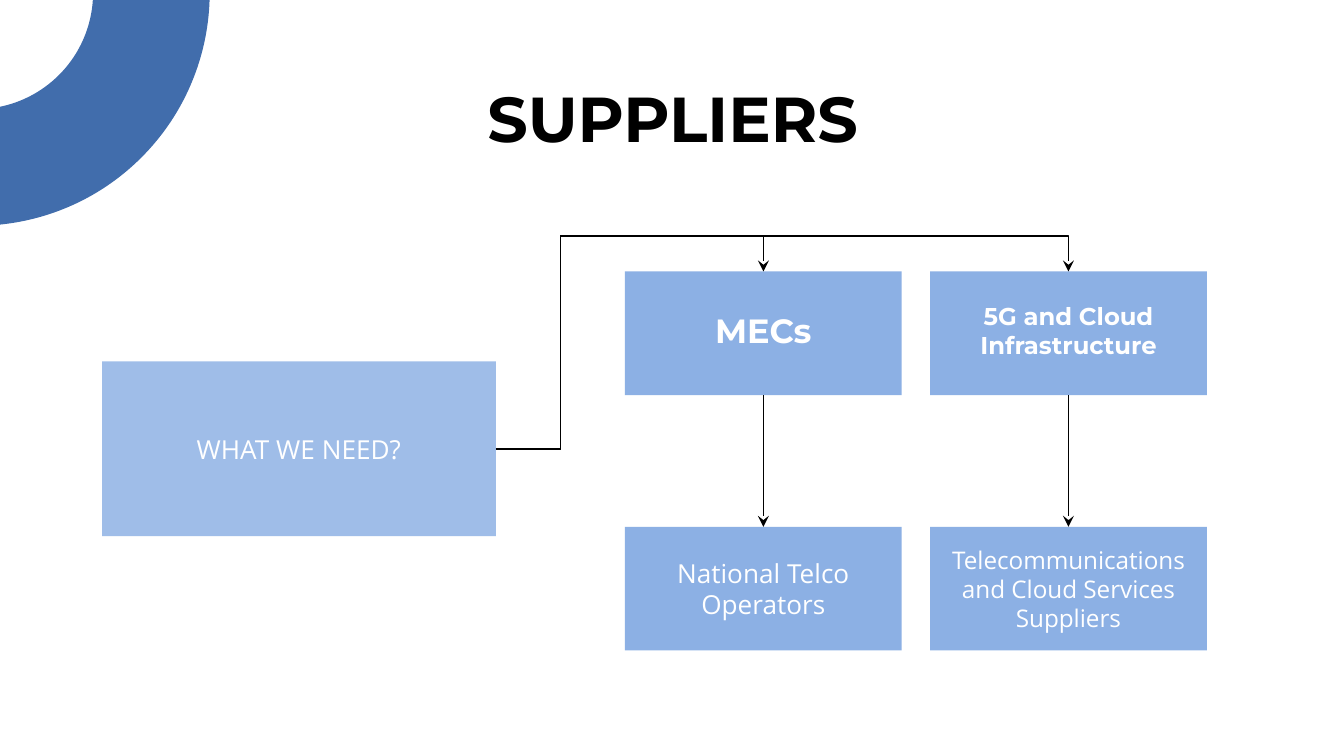
from lxml import etree
from pptx import Presentation
from pptx.dml.color import RGBColor
from pptx.enum.shapes import MSO_CONNECTOR as Connector, MSO_SHAPE as Shape
from pptx.enum.text import MSO_ANCHOR as Anchor, PP_ALIGN as Align
from pptx.oxml.ns import qn
from pptx.util import Inches, Pt

ARC_BLUE = RGBColor(0x41, 0x6D, 0xAC)
BOX_BLUE = RGBColor(0x8C, 0xB0, 0xE4)
WHITE = RGBColor(0xFF, 0xFF, 0xFF)
BLACK = RGBColor(0, 0, 0)
HEADING_FONT = "Montserrat"
BODY_FONT = "Open Sans"
TOP, LEFT, BOTTOM, RIGHT = range(4)


def write_text(shape, text, size, font, color=WHITE, bold=False, anchor=Anchor.MIDDLE):
    frame = shape.text_frame
    frame.word_wrap = True
    frame.vertical_anchor = anchor
    frame.margin_left = frame.margin_right = Inches(0.1)
    frame.margin_top = frame.margin_bottom = Inches(0.1)
    paragraph = frame.paragraphs[0]
    paragraph.text = text
    paragraph.alignment = Align.CENTER
    paragraph.font.size = Pt(size)
    paragraph.font.name = font
    paragraph.font.bold = bold
    paragraph.font.color.rgb = color


def add_filled(slide, kind, box, color):
    shape = slide.shapes.add_shape(kind, *map(Inches, box))
    shape.shadow.inherit = False
    shape.fill.solid()
    shape.fill.fore_color.rgb = color
    shape.line.fill.background()
    return shape


def add_label(slide, box, text, size, font, bold=False):
    label = slide.shapes.add_textbox(*map(Inches, box))
    write_text(label, text, size, font, bold=bold)


def add_arrow(slide, source, source_site, target, bends=None):
    kind = Connector.ELBOW if bends else Connector.STRAIGHT
    arrow = slide.shapes.add_connector(kind, 0, 0, 0, 0)
    arrow.begin_connect(source, source_site)
    arrow.end_connect(target, TOP)
    arrow.line.color.rgb = BLACK
    arrow.line.width = Pt(0.75)
    properties = arrow._element.spPr
    etree.SubElement(arrow.line._get_or_add_ln(), qn("a:tailEnd"), type="stealth")
    etree.SubElement(properties, qn("a:effectLst"))
    if bends:
        geometry = properties.find(qn("a:prstGeom"))
        geometry.set("prst", "bentConnector4")
        guides = geometry.find(qn("a:avLst"))
        for number, ratio in enumerate(bends, start=1):
            etree.SubElement(guides, qn("a:gd"), name=f"adj{number}",
                             fmla=f"val {round(ratio * 100000)}")


def add_corner_arc(slide, left, top, size):
    arc = add_filled(slide, Shape.BLOCK_ARC, (left, top, size, size), ARC_BLUE)
    arc.adjustments[0] = 0
    arc.adjustments[1] = 118.8
    arc.adjustments[2] = 0.25


def add_title(slide, box, text):
    title = slide.shapes.title
    title.left, title.top, title.width, title.height = map(Inches, box)
    write_text(title, text, 34, HEADING_FONT, BLACK, True, Anchor.TOP)


def add_need(slide, box):
    need = add_filled(slide, Shape.RECTANGLE, box, BOX_BLUE)
    color = need.fill._xPr.find(qn("a:solidFill"))[0]
    etree.SubElement(color, qn("a:alpha"), val="83000")
    add_label(slide, box, "WHAT WE NEED?", 14, BODY_FONT)
    return need


def add_supplier_column(slide, box, heading, heading_size, supplier, supplier_size):
    left, top, width, height = box
    box_height = 0.92
    need_box = add_filled(slide, Shape.RECTANGLE, (left, top, width, box_height), BOX_BLUE)
    add_label(slide, (left, top + 0.2, width, 0.47), heading, heading_size, HEADING_FONT, True)
    supplier_box = add_filled(
        slide, Shape.RECTANGLE, (left, top + height - box_height, width, box_height), BOX_BLUE)
    write_text(supplier_box, supplier, supplier_size, BODY_FONT)
    add_arrow(slide, need_box, BOTTOM, supplier_box)
    return need_box


def add_supplier_chart(slide, left, top):
    need = add_need(slide, (left, top + 0.67, 2.93, 1.3))
    columns = [
        ("MECs", 18, "National Telco Operators", 14),
        ("5G and Cloud Infrastructure", 13,
         "Telecommunications and Cloud Services Suppliers", 13),
    ]
    need_right, trunk, rise = left + 2.93, 0.48, 1.2
    width, pitch = 2.06, 2.27
    for index, column in enumerate(columns):
        column_left = left + 3.89 + index * pitch
        heading_box = add_supplier_column(slide, (column_left, top, width, 2.82), *column)
        span = column_left + width / 2 - need_right
        add_arrow(slide, need, RIGHT, heading_box, (trunk / span, rise))


def main():
    presentation = Presentation()
    presentation.slide_width = Inches(10)
    presentation.slide_height = presentation.slide_width * 9 // 16
    slide = presentation.slides.add_slide(presentation.slide_layouts[5])
    add_corner_arc(slide, -1.91, -1.79, 3.47)
    add_title(slide, (0.79, 0.49, 8.43, 0.63), "SUPPLIERS")
    add_supplier_chart(slide, 0.76, 2.02)
    presentation.save("out.pptx")


if __name__ == "__main__":
    main()
